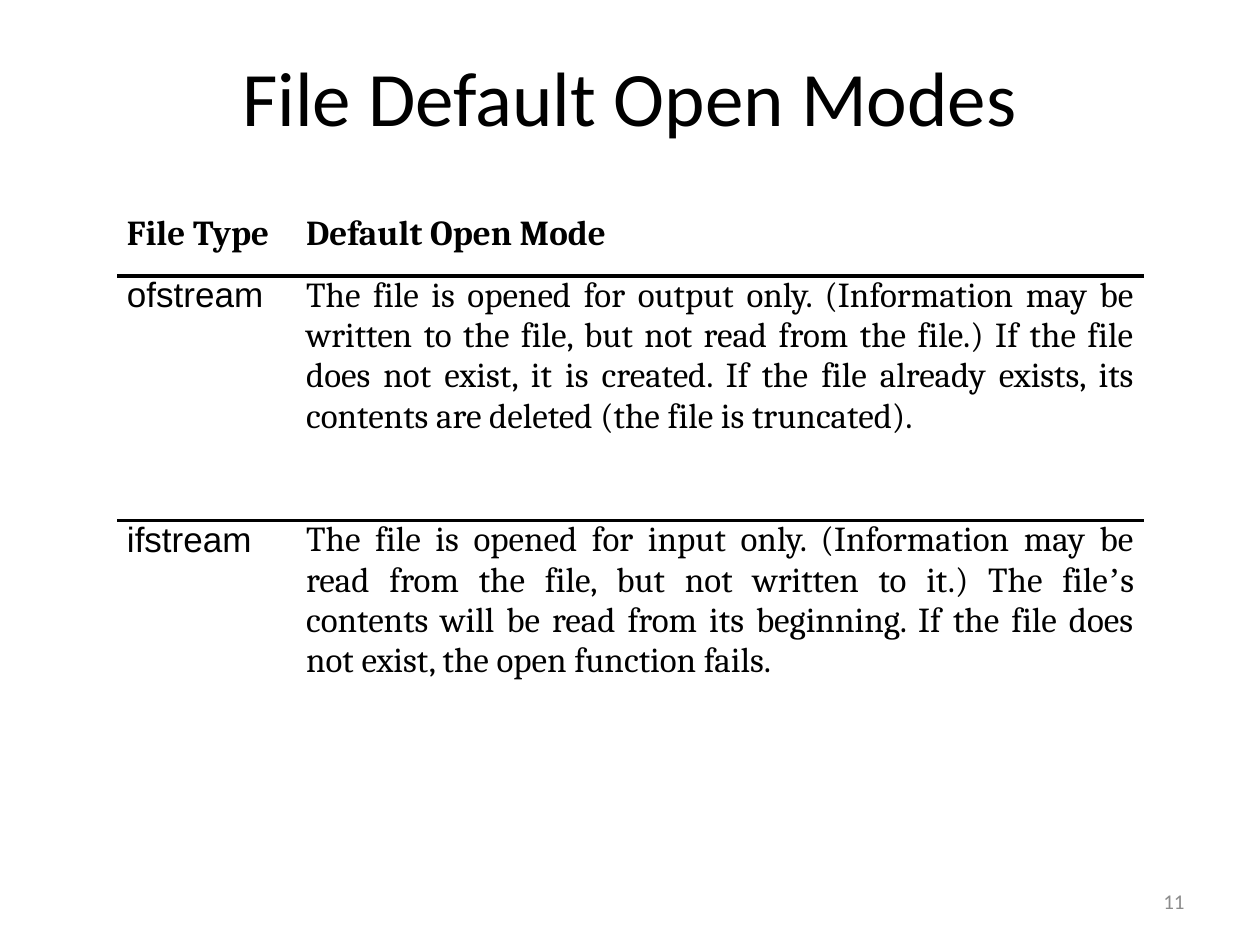
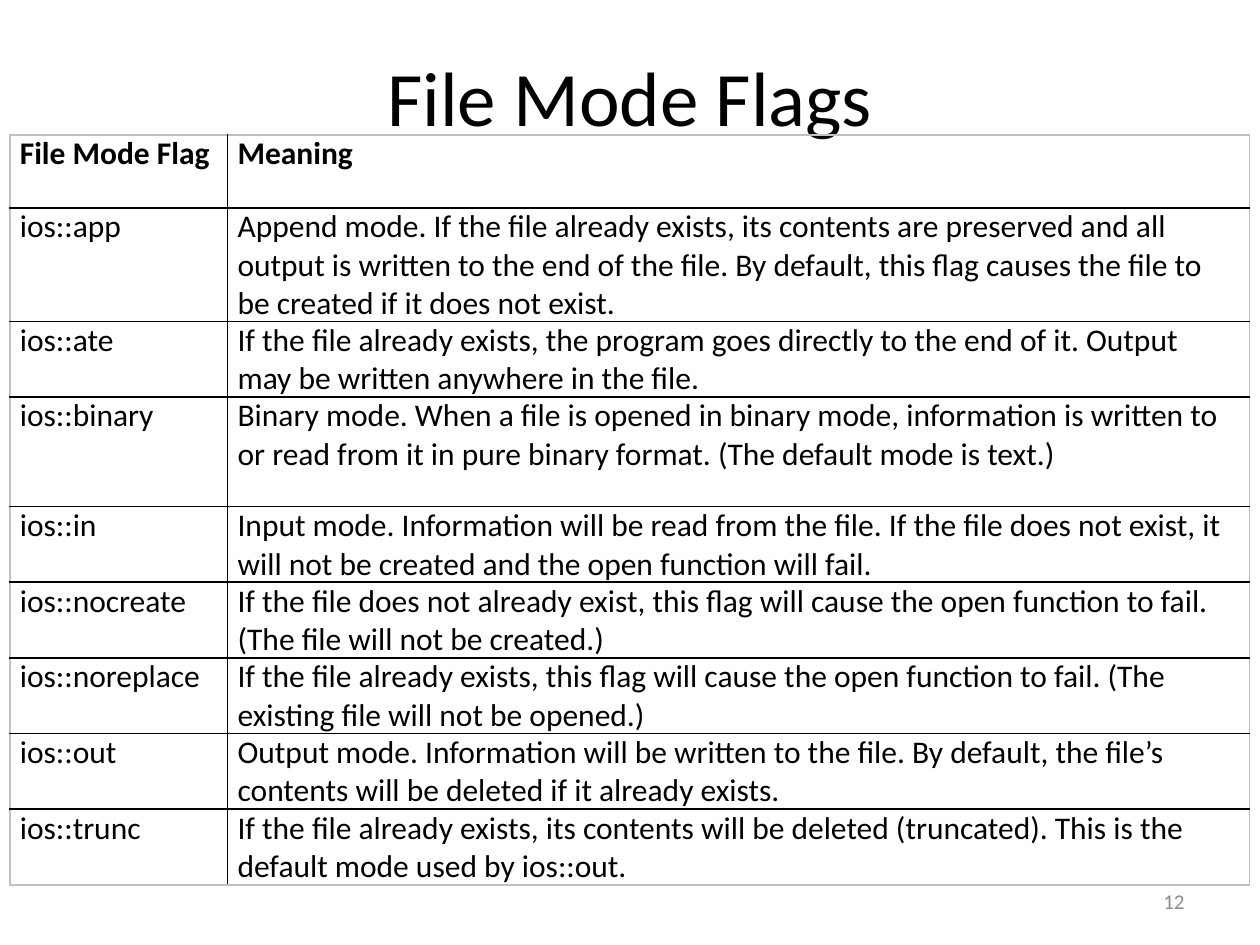
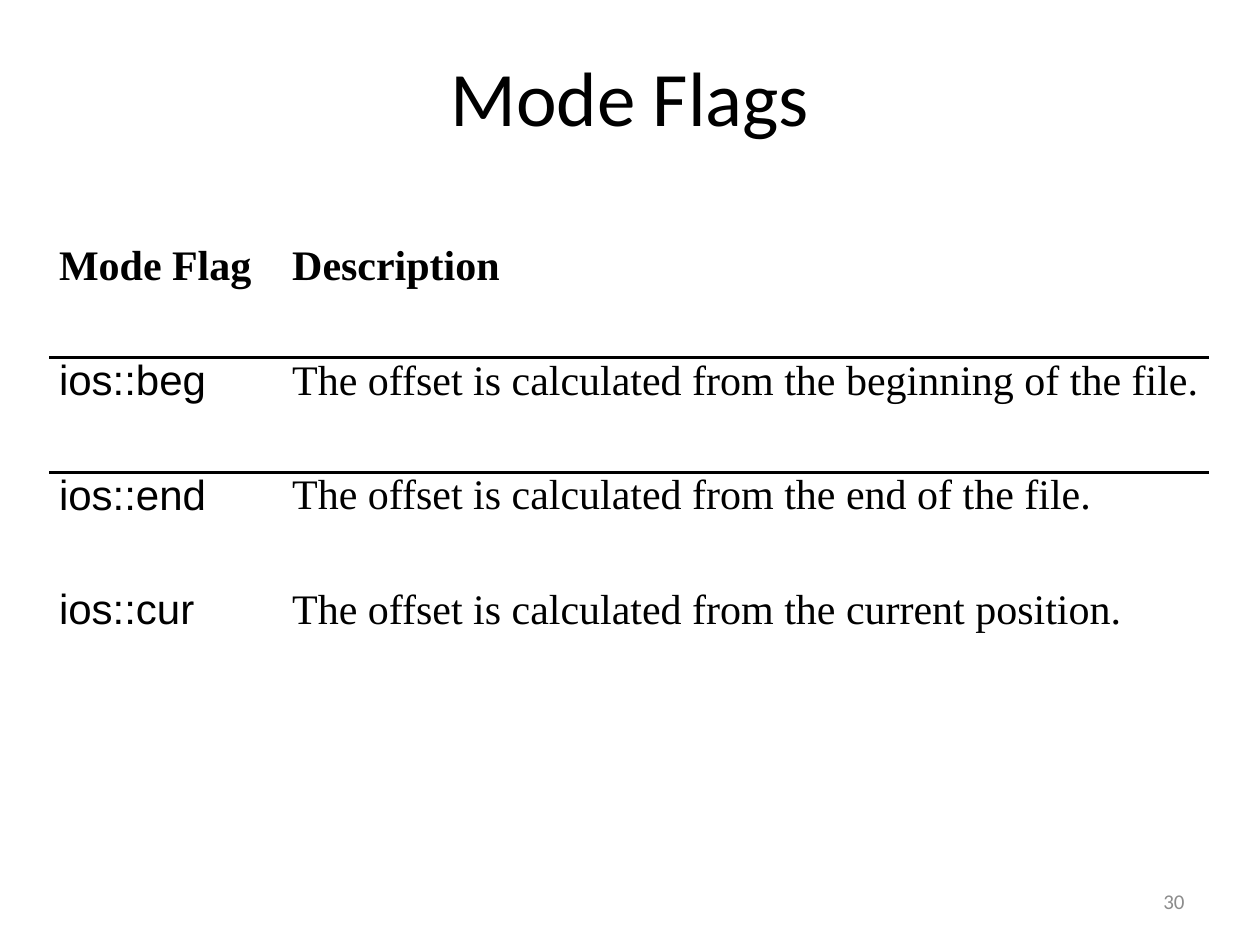
from dataclasses import dataclass

from lxml.etree import SubElement
from pptx import Presentation
from pptx.dml.color import RGBColor as RGB
from pptx.enum.text import MSO_ANCHOR as Anchor, PP_ALIGN as Align
from pptx.oxml.ns import qn
from pptx.util import Cm, Pt


@dataclass(frozen=True)
class Theme:
    ink: str = "000000"
    frame: str = "C0C0C0"
    muted: str = "8C8C8C"
    font: str = "Calibri"
    title_size: int = 44
    number_size: int = 12
    rule: float = 2.25
    grid: float = 1
    indent: float = 0.2
    plain_table: str = "{2D5ABB26-0587-4C30-8999-92F81FD0307C}"


TH = Theme()

# Content: a cell is a string, or a list of (text, font) runs
OPEN_MODES = [
    ("File Type", "Default Open Mode"),
    ("ofstream",
     "The file is opened for output only. (Information may be written to the file, "
     "but not read from the file.) If the file does not exist, it is created. If the "
     "file already exists, its contents are deleted (the file is truncated)."),
    ("ifstream",
     [("The file is opened for input only. (Information may be read from the file, "
       "but not written to it.) The file", "Cambria"),
      ("’", "Times New Roman"),
      ("s contents will be read from its beginning. If the file does not exist, "
       "the open function fails.", "Cambria")]),
]
FILE_FLAGS = [
    ("File Mode Flag", "Meaning"),
    ("ios::app",
     "Append mode. If the file already exists, its contents are preserved and all "
     "output is written to the end of the file. By default, this flag causes the file "
     "to be created if it does not exist."),
    ("ios::ate",
     "If the file already exists, the program goes directly to the end of it. Output "
     "may be written anywhere in the file."),
    ("ios::binary",
     "Binary mode. When a file is opened in binary mode, information is written to or "
     "read from it in pure binary format. (The default mode is text.)"),
    ("ios::in",
     "Input mode. Information will be read from the file. If the file does not exist, "
     "it will not be created and the open function will fail."),
    ("ios::nocreate",
     "If the file does not already exist, this flag will cause the open function to "
     "fail. (The file will not be created.)"),
    ("ios::noreplace",
     "If the file already exists, this flag will cause the open function to fail. "
     "(The existing file will not be opened.)"),
    ("ios::out",
     "Output mode. Information will be written to the file. By default, the file’s "
     "contents will be deleted if it already exists."),
    ("ios::trunc",
     "If the file already exists, its contents will be deleted (truncated). This is "
     "the default mode used by ios::out."),
]
SEEK_FLAGS = [
    ("Mode Flag", "Description"),
    ("ios::beg", "The offset is calculated from the beginning of the file."),
    ("ios::end", "The offset is calculated from the end of the file."),
    ("ios::cur", "The offset is calculated from the current position."),
]

# Lengths in centimetres; "tall" gives the rows that differ from row_h
SLIDES = [
    dict(title="File Default Open Modes", number=11, rows=OPEN_MODES,
         at=(2.36, 4.32), cols=(3.61, 17.09), row_h=4.93, tall={0: 1.24},
         size=20, font="Cambria", code_font="Arial", align=Align.JUSTIFY, grid=False),
    dict(title="File Mode Flags", number=12, rows=FILE_FLAGS,
         at=(0.2, 2.72), cols=(4.39, 20.6), row_h=1.47, tall={1: 2.21, 3: 2.21},
         size=18, font="Calibri", code_font="Calibri", align=Align.LEFT, grid=True),
    dict(title="Mode Flags", number=30, rows=SEEK_FLAGS,
         at=(0.99, 4.9), cols=(4.7, 18.69), row_h=2.31, tall={},
         size=24, font="Times New Roman", code_font="Arial", align=Align.LEFT, grid=False),
]


def add_run(p, text, size, font, color=TH.ink, bold=False):
    r = p.add_run()
    r.text = text
    f = r.font
    f.size, f.name, f.bold = Pt(size), font, bold
    f.color.rgb = RGB.from_string(color)


def add_label(s, box, text, size, color, align):
    tf = s.shapes.add_textbox(*map(Cm, box)).text_frame
    tf.word_wrap = True
    tf.vertical_anchor = Anchor.MIDDLE
    p = tf.paragraphs[0]
    p.alignment = align
    add_run(p, text, size, TH.font, color)


def set_border(cell, side, width, color):
    ln = SubElement(cell._tc.get_or_add_tcPr(), qn("a:ln" + side), w=str(Pt(width)))
    fill = SubElement(ln, qn("a:solidFill"))
    SubElement(fill, qn("a:srgbClr"), val=color)


def borders(i, j, last_row, last_col, grid):
    """Yield (side, width, colour) for the cell at row i, column j."""
    if grid:
        outer = {"L": j == 0, "R": j == last_col, "T": i == 0, "B": i == last_row}
        for side, edge in outer.items():
            yield side, TH.grid, TH.frame if edge else TH.ink
    elif i < 2:
        # One heavy rule between the header and the body
        yield "B" if i == 0 else "T", TH.rule, TH.ink


def fill_cell(cell, text, d, i, j):
    cell.margin_left = cell.margin_right = Cm(TH.indent)
    cell.margin_top = cell.margin_bottom = 0
    p = cell.text_frame.paragraphs[0]
    p.alignment = d["align"]
    font = d["code_font"] if i and j == 0 else d["font"]
    for run_text, run_font in [(text, font)] if isinstance(text, str) else text:
        add_run(p, run_text, d["size"], run_font, bold=i == 0)


def add_flag_table(s, d):
    rows, cols = d["rows"], d["cols"]
    heights = [d["tall"].get(i, d["row_h"]) for i in range(len(rows))]
    box = (*d["at"], sum(cols), sum(heights))
    table = s.shapes.add_table(len(rows), len(cols), *map(Cm, box)).table
    table.first_row = table.horz_banding = False
    table._tbl.tblPr.find(qn("a:tableStyleId")).text = TH.plain_table
    for col, width in zip(table.columns, cols):
        col.width = Cm(width)
    for i, (row, height) in enumerate(zip(table.rows, heights)):
        row.height = Cm(height)
        for j, cell in enumerate(row.cells):
            fill_cell(cell, rows[i][j], d, i, j)
            for border in borders(i, j, len(rows) - 1, len(cols) - 1, d["grid"]):
                set_border(cell, *border)
            cell.fill.background()


def main():
    prs = Presentation()
    prs.slide_width, prs.slide_height = Cm(25.4), Cm(19.05)
    for d in SLIDES:
        s = prs.slides.add_slide(prs.slide_layouts[6])
        # Shared title and slide number
        add_label(s, (0.2, 0.33, 25, 3.18), d["title"], TH.title_size, TH.ink, Align.CENTER)
        add_label(s, (18.21, 17.65, 5.92, 1.02), str(d["number"]), TH.number_size,
                  TH.muted, Align.RIGHT)
        add_flag_table(s, d)
    prs.save("out.pptx")


if __name__ == "__main__":
    main()
